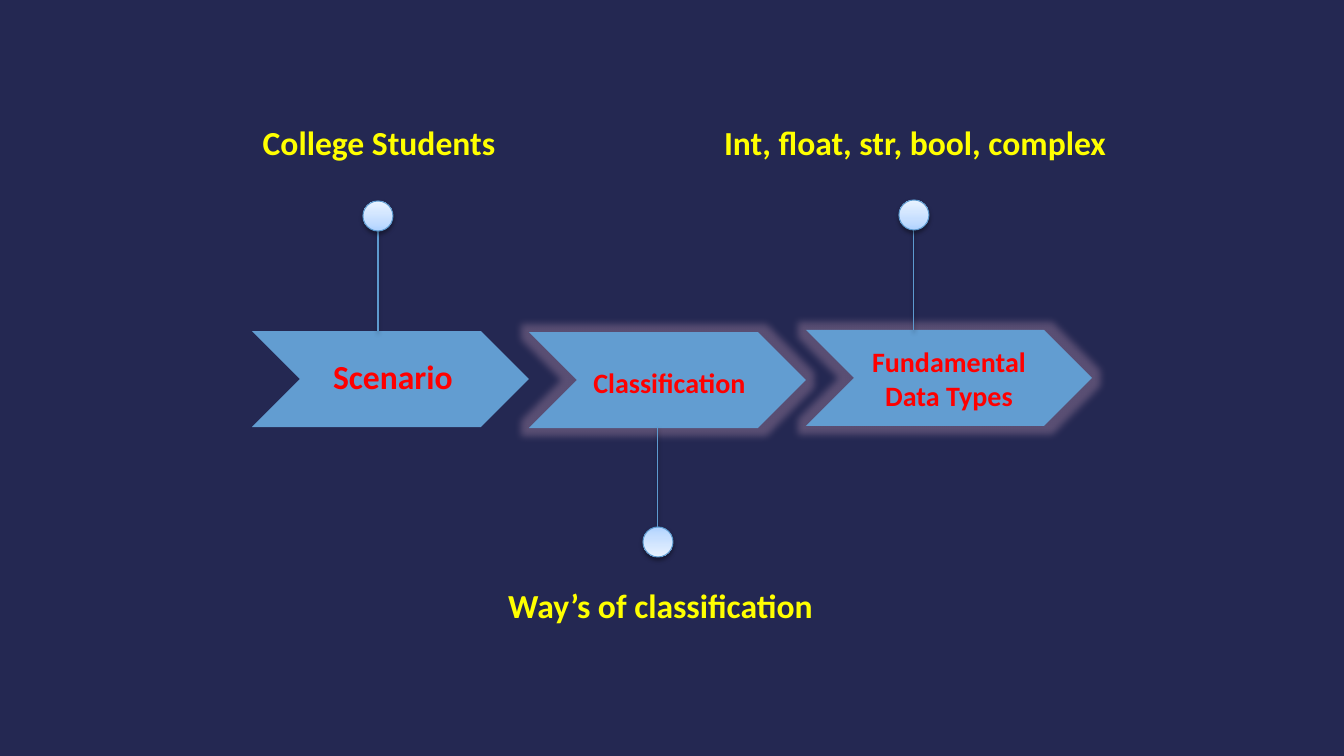
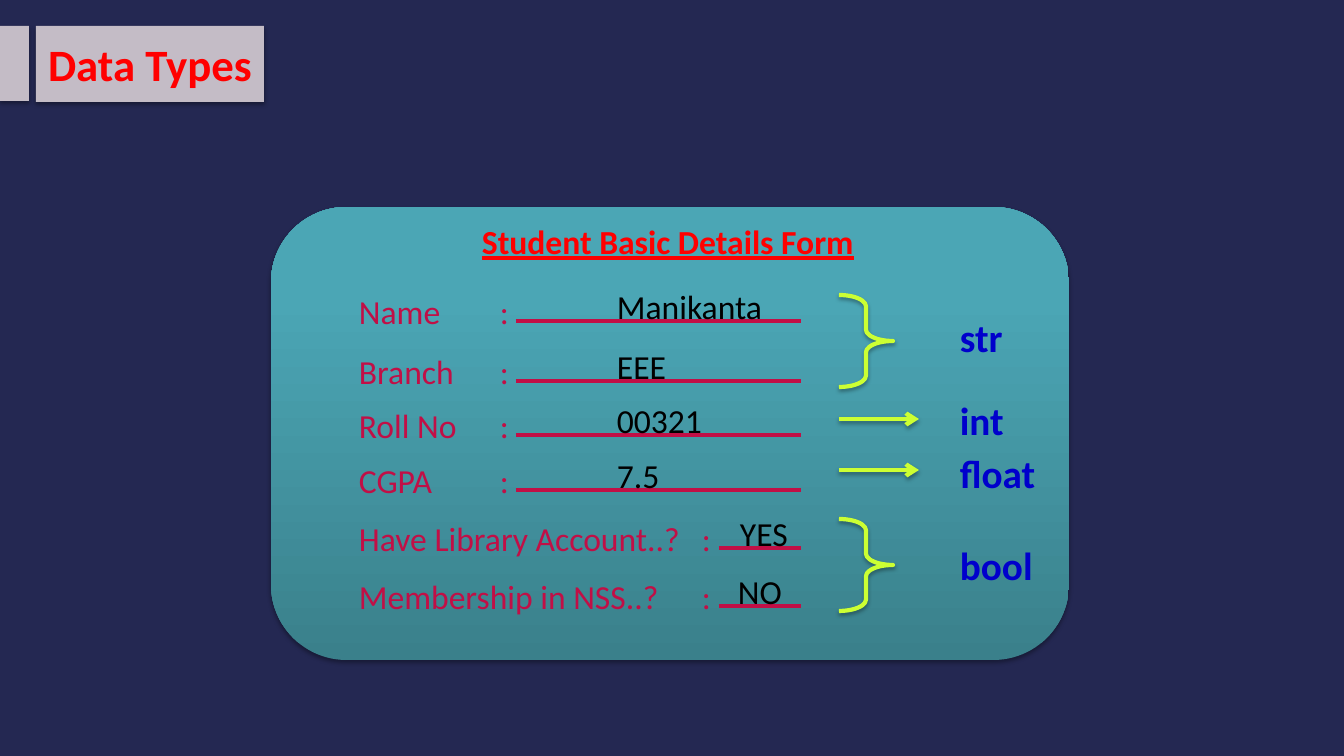
"""Build two slides: a three-step chevron flow and a student form sorted by data type."""
from lxml import etree
from pptx import Presentation, util as u
from pptx.dml.color import RGBColor
from pptx.enum import shapes, text
from pptx.oxml import ns

COLOURS = {
    "background": "242852", "chevron": "629DD1", "glow": "AC8AA7", "pin": "5D9ACF",
    "red": "FF0000", "yellow": "FFFF00", "band": "C4BCC6", "form": "C10F46",
    "answer": "000000", "mark": "CCFF33", "type": "0000CC", "shadow": "000000",
}
PIN_STOPS = [(0, "B0D3FF"), (35, "C7DFFF"), (100, "E9F3FF")]
CARD_STOPS = [(0, "3A808B"), (80, "4BA6B5"), (100, "49A8B8")]
FONT = "Calibri"
PIXEL = 914400 / 100.8
SHAPE, ALIGN = shapes.MSO_SHAPE, text.PP_ALIGN

# left, top, width, lines, size, insets (left, top, right, bottom), glow
CHEVRONS = [
    (252, 331, 277, ["Scenario"], 24, (15, 0, 10, 5), False),
    (529, 332, 277, ["Classification"], 20, (14, 9, 10, 5), True),
    (806, 330, 286, ["Fundamental", "Data Types"], 20, (10, 5, 10, 5), True),
]
# centre, chevron edge, direction, caption, caption left, top and width
PINS = [
    (378, 331, -1, "College Students", 251, 117, 256),
    (914, 330, -1, "Int, float, str, bool, complex", 712, 117, 406),
    (658, 427, 1, "Way’s of classification", 496, 580, 329),
]
# label, width, top, answer, answer left and width
SHORT_ROWS = [
    ("Name", 103, 286, "Manikanta", 607, 172),
    ("Branch", 116, 346, "EEE", 607, 71),
    ("Roll No", 119, 400, "00321", 607, 106),
    ("CGPA", 94, 455, "7.5", 607, 64),
]
LONG_ROWS = [
    ("Have Library Account..?", 345, 513, "YES", 730, 69),
    ("Membership in NSS..?", 323, 571, "NO", 728, 65),
]
# rows, colon left, rule left
ROW_GROUPS = [(SHORT_ROWS, 490, 516), (LONG_ROWS, 692, 719)]
TYPES = [("str", 308, 64), ("int", 391, 65), ("float", 444, 97), ("bool", 536, 94)]
ARROW_TOPS = [419, 470]
BRACE_TOPS = [295, 519]


def px(value):
    return u.Emu(round(value * PIXEL))


def rgb(name):
    return RGBColor.from_string(COLOURS[name])


def child(parent, tag, **attributes):
    return etree.SubElement(parent, ns.qn(tag), {k: str(v) for k, v in attributes.items()})


def add_tint(parent, colour, alpha):
    child(child(parent, "a:srgbClr", val=COLOURS[colour]), "a:alpha", val=alpha * 1000)


def add_effect(item, kind=None, alpha=35):
    effects = child(item._element.spPr, "a:effectLst")
    if kind == "shadow":
        shadow = child(effects, "a:outerShdw", blurRad=39370, dist=22860, dir=5400000, rotWithShape=0)
        add_tint(shadow, "shadow", alpha)
    elif kind == "glow":
        add_tint(child(effects, "a:glow", rad=139700), "glow", 40)


def fill_gradient(shape, stops, angle):
    gradient = etree.Element(ns.qn("a:gradFill"), rotWithShape="1")
    listing = child(gradient, "a:gsLst")
    for position, colour in stops:
        child(child(listing, "a:gs", pos=position * 1000), "a:srgbClr", val=colour)
    child(gradient, "a:lin", ang=angle * 60000, scaled=0)
    shape._element.spPr.find(ns.qn("a:prstGeom")).addnext(gradient)


def write(frame, lines, size, colour, bold=False, align=ALIGN.LEFT, underline=None):
    for index, line in enumerate(lines):
        para = frame.paragraphs[0] if index == 0 else frame.add_paragraph()
        para.text, para.alignment = line, align
        font = para.font
        font.name, font.size, font.bold, font.underline = FONT, u.Pt(size), bold, underline
        font.color.rgb = rgb(colour)


def add_label(page, left, top, width, words, size, colour, **style):
    box = page.shapes.add_textbox(px(left), px(top), px(width), px(size * 1.7 + 9.5))
    box.text_frame.word_wrap = False
    box.text_frame.auto_size = text.MSO_AUTO_SIZE.SHAPE_TO_FIT_TEXT
    write(box.text_frame, [words], size, colour, **style)


def add_block(page, kind, left, top, width, height, fill=None, line=None, weight=0.75):
    shape = page.shapes.add_shape(kind, px(left), px(top), px(width), px(height))
    if fill:
        shape.fill.solid()
        shape.fill.fore_color.rgb = rgb(fill)
    if line:
        shape.line.color.rgb = rgb(line)
        shape.line.width = u.Pt(weight)
    else:
        shape.line.fill.background()
    return shape


def add_line(page, start, end, colour, weight, effect=None, alpha=35, arrow=False):
    line = page.shapes.add_connector(shapes.MSO_CONNECTOR.STRAIGHT, *map(px, start + end))
    line.line.color.rgb = rgb(colour)
    line.line.width = u.Pt(weight)
    if arrow:
        child(line.line._get_or_add_ln(), "a:tailEnd", type="arrow")
    add_effect(line, effect, alpha)


def add_page(deck):
    page = deck.slides.add_slide(deck.slide_layouts[6])
    page.background.fill.solid()
    page.background.fill.fore_color.rgb = rgb("background")
    return page


def build_flow(page):
    for left, top, width, lines, size, insets, glow in CHEVRONS:
        chevron = add_block(page, SHAPE.CHEVRON, left, top, width, 96, "chevron")
        add_effect(chevron, "glow" if glow else None)
        frame = chevron.text_frame
        frame.margin_left, frame.margin_top, frame.margin_right, frame.margin_bottom = map(px, insets)
        frame.vertical_anchor = text.MSO_ANCHOR.MIDDLE
        write(frame, lines, size, "red", True, ALIGN.CENTER)
    for centre, edge, direction, caption, left, top, width in PINS:
        add_label(page, left, top, width, caption, 24, "yellow", bold=True, align=ALIGN.CENTER)
        add_line(page, (centre, edge), (centre, edge + direction * 100), "pin", 0.75, "shadow", 38)
        middle = edge + direction * 115
        knob = add_block(page, SHAPE.FLOWCHART_CONNECTOR, centre - 15, middle - 15, 30, 30, line="pin")
        fill_gradient(knob, PIN_STOPS, 270 if direction < 0 else 90)
        add_effect(knob, "shadow", 38)


def build_form(page):
    add_effect(add_block(page, SHAPE.RECTANGLE, 0, 26, 29, 75, "band"), "shadow")
    title = add_block(page, SHAPE.RECTANGLE, 36, 26, 228, 76, "band")
    add_effect(title, "shadow")
    title.text_frame.vertical_anchor = text.MSO_ANCHOR.MIDDLE
    write(title.text_frame, ["Data Types"], 32, "red", True, ALIGN.CENTER)

    card = add_block(page, SHAPE.ROUNDED_RECTANGLE, 271, 207, 798, 453)
    fill_gradient(card, CARD_STOPS, 270)
    add_effect(card, "shadow")
    add_label(page, 472, 216, 396, "Student Basic Details Form", 24, "red", bold=True, underline=True)
    for rows, colon_left, rule_left in ROW_GROUPS:
        for label, width, top, answer, answer_left, answer_width in rows:
            add_label(page, 349, top, width, label, 24, "form")
            add_label(page, colon_left, top, 29, ":", 24, "form")
            add_line(page, (rule_left, top + 35), (801, top + 35), "form", 2.25)
            add_label(page, answer_left, top - 5, answer_width, answer, 24, "answer")

    for top in ARROW_TOPS:
        add_line(page, (839, top), (919, top), "mark", 3, "shadow", arrow=True)
    for top in BRACE_TOPS:
        brace = add_block(page, SHAPE.RIGHT_BRACE, 839, top, 54, 92, line="mark", weight=3)
        brace.fill.background()
        brace.adjustments[0] = 0.21
        add_effect(brace, "shadow")
    for name, top, width in TYPES:
        add_label(page, 950, top, width, name, 28, "type", bold=True)


deck = Presentation()
deck.slide_width, deck.slide_height = px(1344), px(756)
for build in (build_flow, build_form):
    build(add_page(deck))
deck.save("out.pptx")
